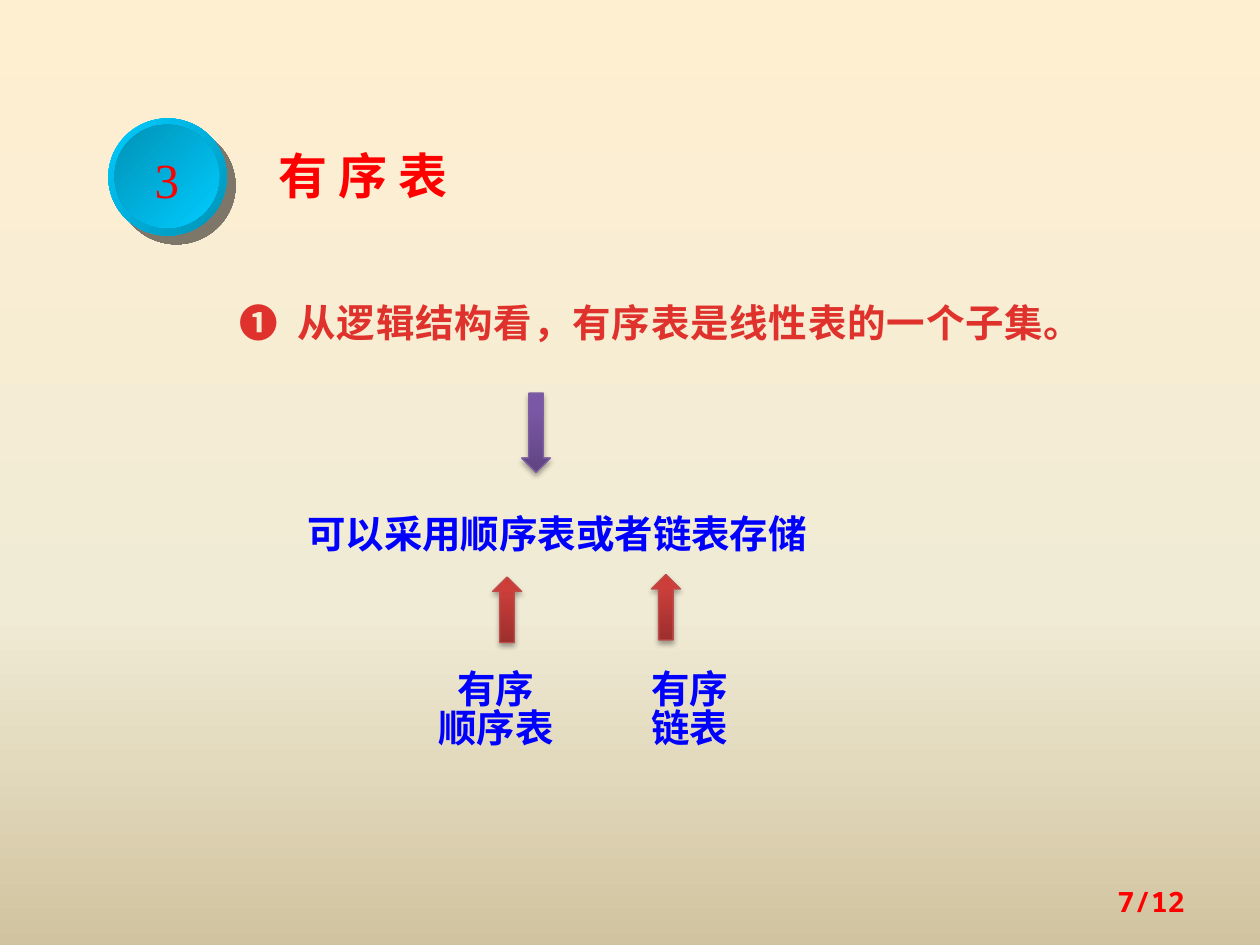
from lxml.etree import SubElement
from pptx import Presentation
from pptx.enum.shapes import MSO_SHAPE
from pptx.enum.text import MSO_ANCHOR, MSO_AUTO_SIZE, PP_ALIGN
from pptx.dml.color import RGBColor
from pptx.oxml.ns import qn
from pptx.util import Inches, Pt

COLORS = {
    "red": "FF0000", "blue": "0000FF", "black": "000000", "shade": "020202",
    "purple_line": "7D60A0", "brick_line": "BF4C48",
}
GRADIENTS = {  # angle in degrees, then (position, color) stops
    "paper": (90, [(0, "FFEFD1"), (65, "F0EBD5"), (100, "D1C39F")]),
    "rim": (45, [(0, "00CCFF"), (100, "0092B6")]),
    "dish": (45, [(0, "0092B6"), (100, "00CCFF")]),
    "purple": (270, [(0, "5F4480"), (80, "7B58A6"), (100, "7C57A8")]),
    "brick": (270, [(0, "9C2F2D"), (80, "CB3E3A"), (100, "CE3B37")]),
    "ember": (90, [(25, "E0322D"), (100, "A2201C")]),
}
CHINESE, MONO, SERIF = "Noto Sans CJK SC", "Noto Sans Mono", "Times New Roman"


def apply_gradient(fill, parent, name):
    """Fill with a named gradient; parent is the element that holds the fill."""
    angle, stops = GRADIENTS[name]
    fill.gradient()
    gradient = parent.find(qn("a:gradFill"))
    for child in list(gradient):
        gradient.remove(child)
    stop_list = SubElement(gradient, qn("a:gsLst"))
    for position, color in stops:
        stop = SubElement(stop_list, qn("a:gs"), pos=str(position * 1000))
        SubElement(stop, qn("a:srgbClr"), val=color)
    SubElement(gradient, qn("a:lin"), ang=str(angle * 60000), scaled="0")


def write_text(frame, text, size=22, font=CHINESE, color="blue", gradient=None,
               bold=True, align=PP_ALIGN.LEFT, anchor=MSO_ANCHOR.TOP,
               line_spacing=1.1, space_before=50, tracking=0):
    """Write one paragraph per line of text; space_before is a percentage."""
    frame.vertical_anchor = anchor
    for index, line in enumerate(text.split("\n")):
        paragraph = frame.add_paragraph() if index else frame.paragraphs[0]
        paragraph.alignment = align
        paragraph.space_before = Pt(0)
        paragraph.line_spacing = line_spacing
        before = paragraph._p.pPr.find(qn("a:spcBef"))
        before.remove(before[0])
        SubElement(before, qn("a:spcPct"), val=str(space_before * 1000))
        run = paragraph.add_run()
        run.text = line
        run.font.size, run.font.bold, run.font.name = Pt(size), bold, font
        properties = run.font._element
        if gradient:
            apply_gradient(run.font.fill, properties, gradient)
        else:
            run.font.color.rgb = RGBColor.from_string(COLORS[color])
        if tracking:
            properties.set("spc", str(int(tracking * 100)))
        properties.find(qn("a:latin")).addnext(
            properties.makeelement(qn("a:ea"), {"typeface": font}))


class SlideBuilder:
    """Holds the slide; boxes are (left, top, width, height) in percent."""

    def __init__(self, presentation):
        self.width = presentation.slide_width
        self.height = presentation.slide_height
        self.slide = presentation.slides.add_slide(presentation.slide_layouts[5])
        fill = self.slide.background.fill
        fill.gradient()
        parent = self.slide.element.xpath(".//p:bgPr")[0]
        apply_gradient(fill, parent, "paper")

    def place(self, box):
        lengths = (self.width, self.height) * 2
        return [round(share * length / 100) for share, length in zip(box, lengths)]

    def title(self, box, text, **style):
        title = self.slide.shapes.title
        title.left, title.top, title.width, title.height = self.place(box)
        title.text_frame.auto_size = MSO_AUTO_SIZE.SHAPE_TO_FIT_TEXT
        write_text(title.text_frame, text, **style)

    def text(self, box, text, grow=True, **style):
        frame = self.slide.shapes.add_textbox(*self.place(box)).text_frame
        frame.word_wrap = True
        if grow:
            frame.auto_size = MSO_AUTO_SIZE.SHAPE_TO_FIT_TEXT
        write_text(frame, text, **style)

    def shape(self, kind, box, gradient, line=None, shadow=None):
        shape = self.slide.shapes.add_shape(kind, *self.place(box))
        properties = shape._element.spPr
        apply_gradient(shape.fill, properties, gradient)
        if line:
            shape.line.color.rgb = RGBColor.from_string(COLORS[line])
            shape.line.width = Pt(0.75)
        else:
            shape.line.fill.background()
        shape.shadow.inherit = False
        if shadow:
            color, alpha, blur, distance, angle = shadow
            outer = SubElement(
                properties.find(qn("a:effectLst")), qn("a:outerShdw"),
                blurRad=str(Pt(blur)), dist=str(Pt(distance)),
                dir=str(angle * 60000), algn="ctr", rotWithShape="0")
            tint = SubElement(outer, qn("a:srgbClr"), val=COLORS[color])
            SubElement(tint, qn("a:alpha"), val=str(alpha * 1000))
        return shape

    def arrow(self, kind, box, hue):
        self.shape(kind, box, hue, line=f"{hue}_line",
                   shadow=("black", 35, 3.1, 1.8, 90))


def main():
    presentation = Presentation()
    presentation.slide_width, presentation.slide_height = Inches(10), Inches(7.5)
    builder = SlideBuilder(presentation)

    # Numbered button and heading
    builder.shape(MSO_SHAPE.OVAL, (8.6, 12.53, 9.4, 12.4), "rim",
                  shadow=("shade", 50, 0, 7.1, 45))
    dish = builder.shape(MSO_SHAPE.OVAL, (9.1, 13.2, 8.3, 10.93), "dish")
    dish.text_frame.word_wrap = False
    write_text(dish.text_frame, "3", size=28, font=SERIF, color="red", bold=False,
               align=PP_ALIGN.CENTER, anchor=MSO_ANCHOR.MIDDLE)
    builder.title((21.1, 14.13, 24.2, 7.73), "有 序 表", size=28, color="red")

    # Statement and its consequence
    builder.text((18, 30.53, 68.8, 6.8), "❶  从逻辑结构看，有序表是线性表的一个子集。",
                 gradient="ember", tracking=0.5)
    builder.arrow(MSO_SHAPE.DOWN_ARROW, (41.4, 41.6, 2.3, 8.4), "purple")
    builder.text((23.4, 52.8, 44.5, 6.8), "可以采用顺序表或者链表存储")

    # The two storage forms
    for arrow_left, arrow_top, label_left, label_width, label in (
            (39.1, 61.07, 32.8, 13.1, "有序\n顺序表"),
            (51.7, 60.8, 47.7, 14.1, "有序\n链表")):
        builder.arrow(MSO_SHAPE.UP_ARROW, (arrow_left, arrow_top, 2.3, 6.93), "brick")
        builder.text((label_left, 70.53, label_width, 9.6), label,
                     align=PP_ALIGN.CENTER, line_spacing=Pt(22), space_before=0)

    # Page number
    builder.text((71.7, 92.67, 23.3, 5.33), "7/12", grow=False, size=16, font=MONO,
                 color="red", align=PP_ALIGN.RIGHT, anchor=MSO_ANCHOR.MIDDLE,
                 line_spacing=1.0, space_before=0)

    presentation.save("out.pptx")


if __name__ == "__main__":
    main()
